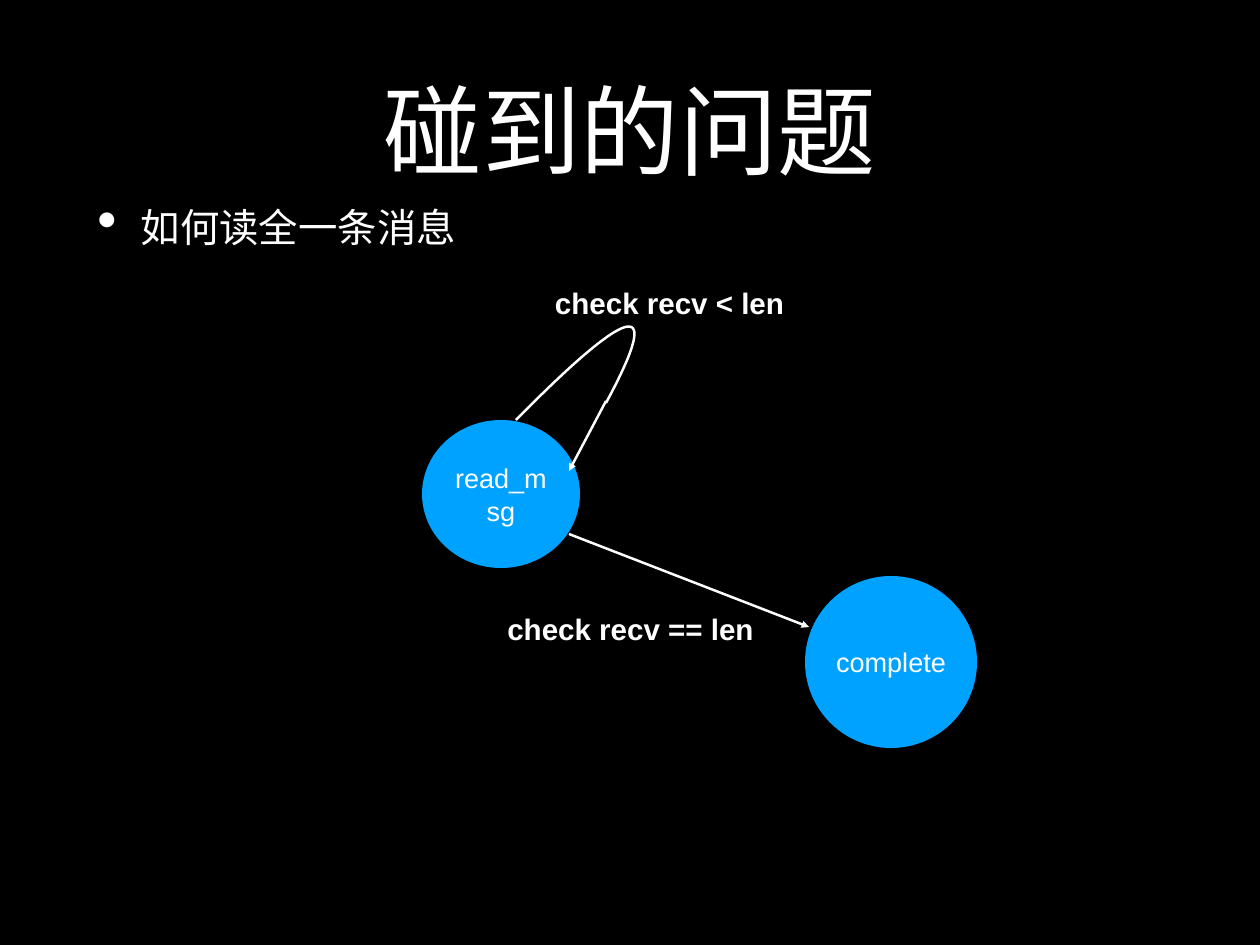
from lxml import etree
from pptx import Presentation
from pptx import util as u
from pptx.dml.color import RGBColor
from pptx.enum import shapes, text
from pptx.oxml.ns import qn

SCALE = 10320
COLORS = {"background": "000000", "ink": "FFFFFF", "state": "00A2FF"}
MIDDLE, TOP = text.MSO_ANCHOR.MIDDLE, text.MSO_ANCHOR.TOP
CENTER, LEFT = text.PP_ALIGN.CENTER, text.PP_ALIGN.LEFT

TITLE = ("碰到的问题", (92, 25, 1076, 209))
BULLET = ("如何读全一条消息", (92, 198, 1076, 98))
STATES = [
    ("read_msg", (422, 420, 158, 148)),
    ("complete", (805, 576, 172, 172)),
]
CONDITIONS = [
    ("check recv < len", (549, 281, 241, 44)),
    ("check recv == len", (501, 607, 259, 44)),
]
LOOP = [(516, 420), (633, 301), (664, 296), (606, 403)]
LOOP_STEPS = 40
ARROWS = [((606, 401), (569, 471)), ((569, 534), (809, 627))]


def px(*values):
    return [u.Emu(round(value * SCALE)) for value in values]


def color(name):
    return RGBColor.from_string(COLORS[name])


def write(shape, words, size, bold=False, wrap=True, anchor=MIDDLE, align=CENTER, bullet=False):
    frame = shape.text_frame
    margin = u.Inches(0.06)
    layout = {"word_wrap": wrap, "vertical_anchor": anchor}
    layout.update({f"margin_{side}": margin for side in ("left", "top", "right", "bottom")})
    for key, value in layout.items():
        setattr(frame, key, value)
    para = frame.paragraphs[0]
    para.alignment = align
    if bullet:
        props = para._p.get_or_add_pPr()
        indent = u.Inches(0.49)
        props.set("marL", str(indent))
        props.set("indent", str(-indent))
        etree.SubElement(props, qn("a:buSzPct"), val="145000")
        etree.SubElement(props, qn("a:buChar"), char="•")
    span = para.add_run()
    span.text = words
    for key, value in {"name": "Arial", "size": u.Pt(size), "bold": bold}.items():
        setattr(span.font, key, value)
    span.font.color.rgb = color("ink")


def draw_line(shape):
    shape.line.color.rgb = color("ink")
    shape.line.width = u.Pt(2)


def bezier(points, t):
    weights = ((1 - t) ** 3, 3 * t * (1 - t) ** 2, 3 * t * t * (1 - t), t ** 3)
    return tuple(sum(w * p[axis] for w, p in zip(weights, points)) for axis in (0, 1))


def main():
    deck = Presentation()
    deck.slide_width, deck.slide_height = px(1260, 945)
    page = deck.slides.add_slide(deck.slide_layouts[6])
    page.background.fill.solid()
    page.background.fill.fore_color.rgb = color("background")

    def add_text(item, size, **options):
        words, place = item
        write(page.shapes.add_textbox(*px(*place)), words, size, **options)

    add_text(TITLE, 80)
    add_text(BULLET, 32, anchor=TOP, align=LEFT, bullet=True)

    for words, place in STATES:
        circle = page.shapes.add_shape(shapes.MSO_SHAPE.OVAL, *px(*place))
        circle.shadow.inherit = False
        circle.fill.solid()
        circle.fill.fore_color.rgb = color("state")
        circle.line.fill.background()
        write(circle, words, 22)

    curve = [px(*bezier(LOOP, step / LOOP_STEPS)) for step in range(LOOP_STEPS + 1)]
    builder = page.shapes.build_freeform(*curve[0])
    builder.add_line_segments(curve[1:], close=False)
    loop = builder.convert_to_shape()
    loop.shadow.inherit = False
    loop.fill.background()
    draw_line(loop)

    for start, end in ARROWS:
        arrow = page.shapes.add_connector(shapes.MSO_CONNECTOR.STRAIGHT, *px(*start, *end))
        draw_line(arrow)
        etree.SubElement(arrow.line._get_or_add_ln(), qn("a:tailEnd"), type="triangle")
        etree.SubElement(arrow._element.spPr, qn("a:effectLst"))

    for condition in CONDITIONS:
        add_text(condition, 24, bold=True, wrap=False)

    deck.save("out.pptx")


if __name__ == "__main__":
    main()
